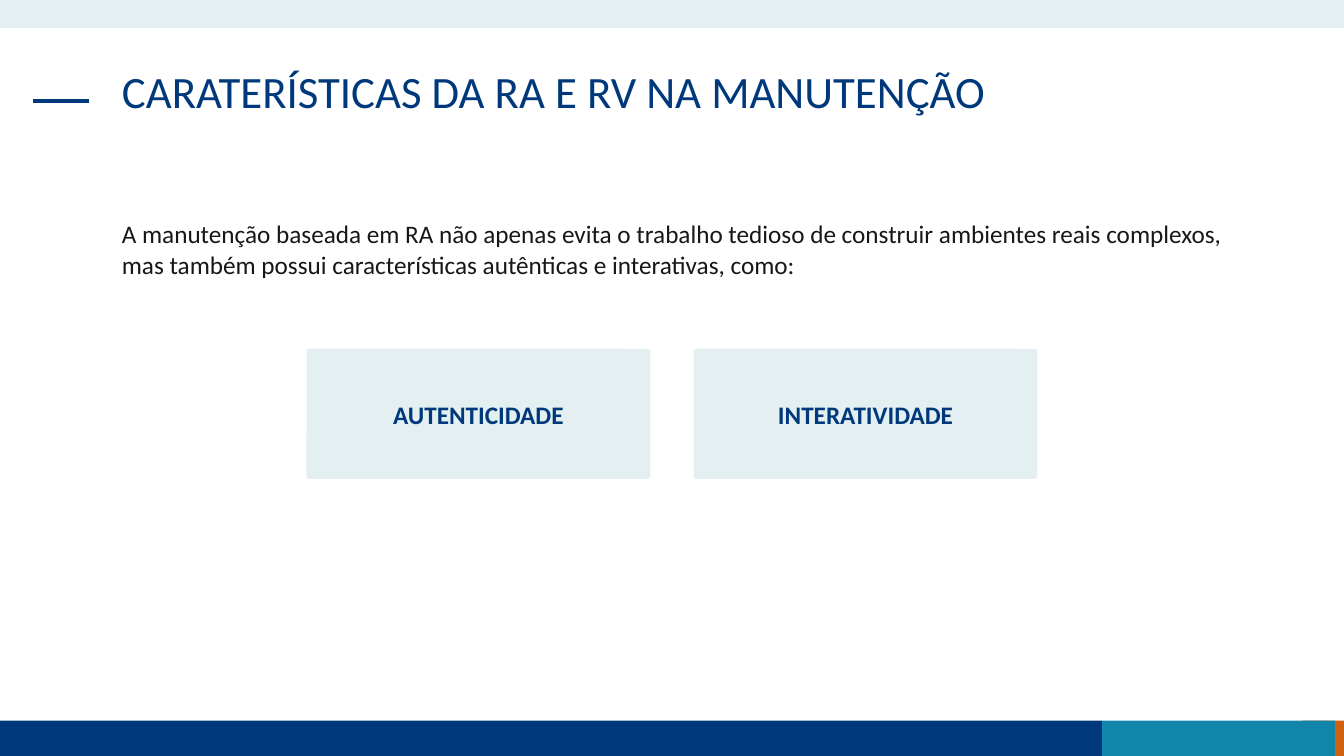
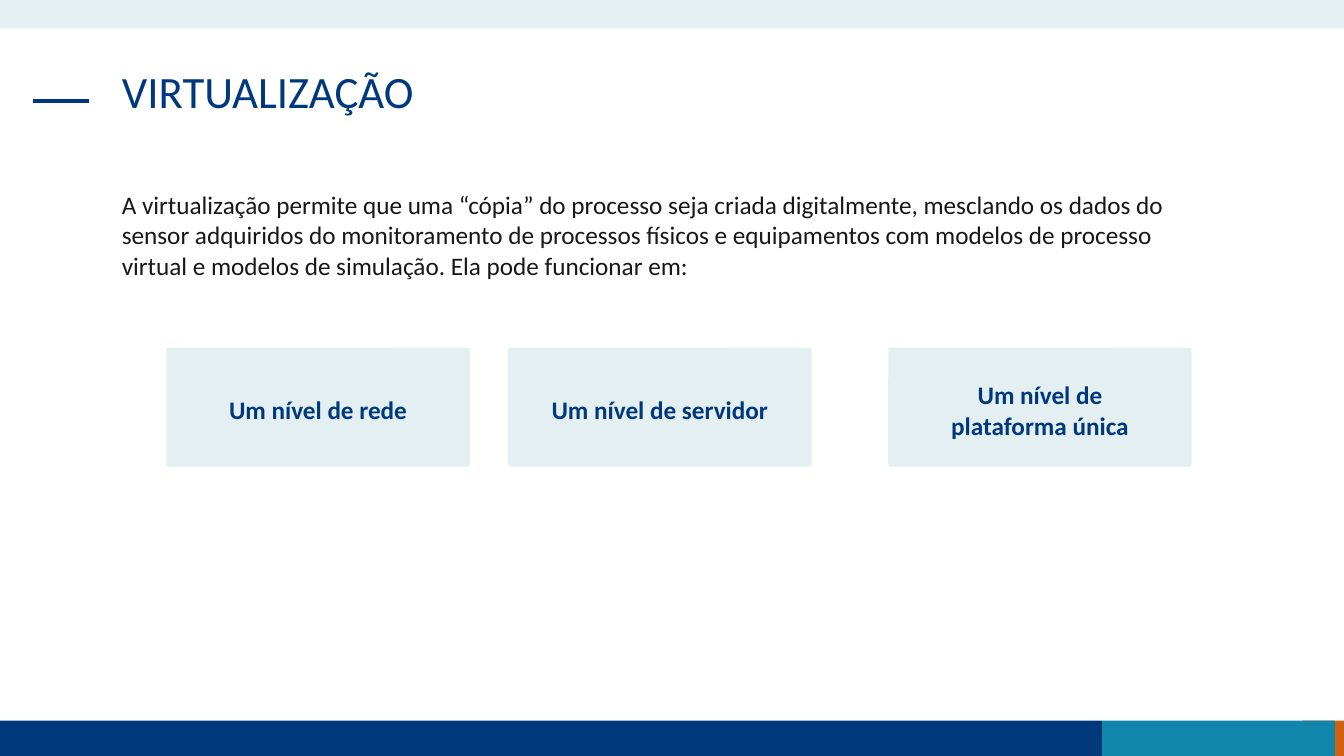
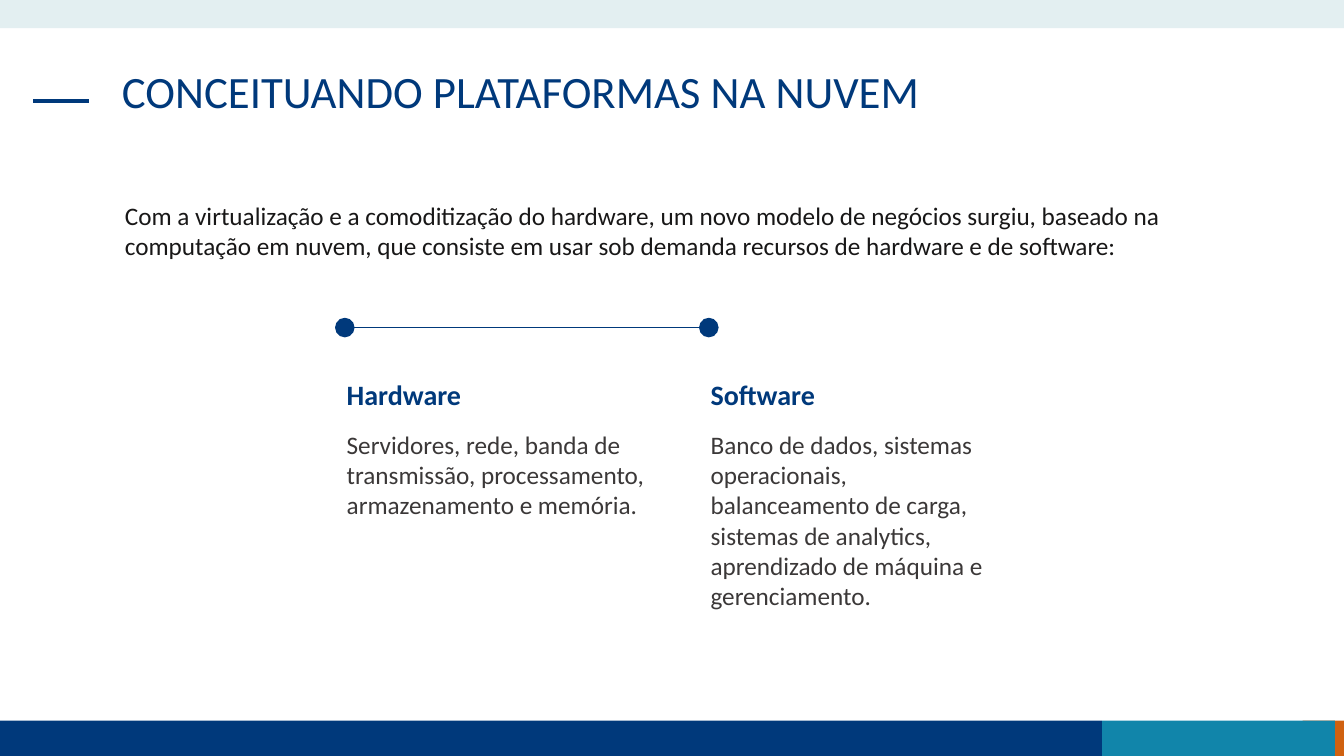
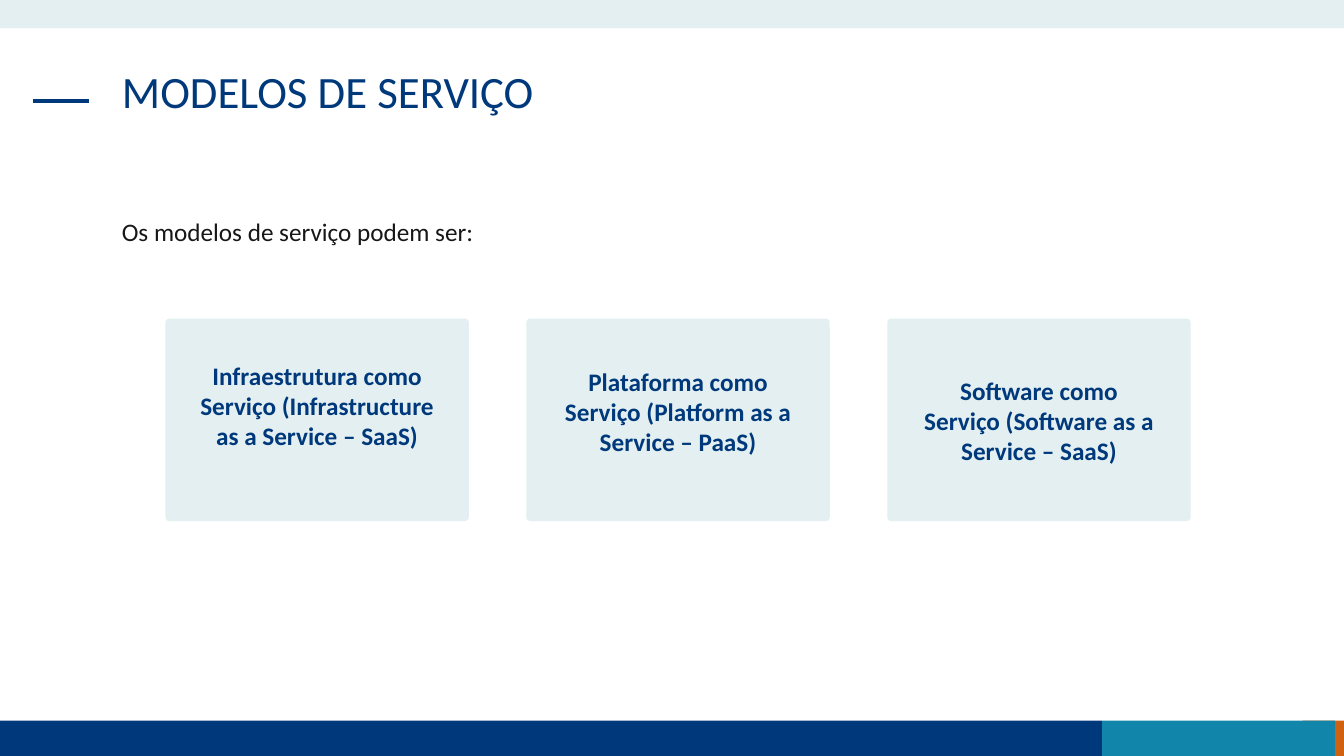
import pptx
import pptx.util
import pptx.dml.color
import pptx.enum.shapes
import pptx.enum.text
import pptx.oxml.ns
import lxml.etree

Inches = pptx.util.Inches
Pt = pptx.util.Pt
SHAPE = pptx.enum.shapes.MSO_SHAPE
ALIGN = pptx.enum.text.PP_ALIGN

FONT = "Calibri"
COLORS = {
    "navy": "00397B",
    "teal": "1185AA",
    "orange": "D06110",
    "pale": "E3EFF1",
    "ink": "181717",
    "gray": "3B3838",
}


def color(name):
    return pptx.dml.color.RGBColor.from_string(COLORS[name])


def write(frame, text, size, tone, bold=False, align=ALIGN.LEFT):
    """Fill a text frame with one top-anchored paragraph."""
    frame.word_wrap = True
    frame.auto_size = pptx.enum.text.MSO_AUTO_SIZE.NONE
    frame.vertical_anchor = pptx.enum.text.MSO_ANCHOR.TOP
    frame.text = text
    par = frame.paragraphs[0]
    par.alignment = align
    par.font.name = FONT
    par.font.size = Pt(size)
    par.font.bold = bold
    par.font.color.rgb = color(tone)
    return par


def label(slide, box, text, size=18, tone="ink", bold=False):
    area = slide.shapes.add_textbox(*map(Inches, box))
    write(area.text_frame, text, size, tone, bold)


def block(slide, kind, box, tone):
    shape = slide.shapes.add_shape(kind, *map(Inches, box))
    shape.shadow.inherit = False
    shape.fill.solid()
    shape.fill.fore_color.rgb = color(tone)
    shape.line.fill.background()
    return shape


def rule(slide, left, right, top, width):
    """Draw a level navy line."""
    line = slide.shapes.add_connector(
        pptx.enum.shapes.MSO_CONNECTOR.STRAIGHT,
        Inches(left), Inches(top), Inches(right), Inches(top))
    line.line.color.rgb = color("navy")
    line.line.width = Pt(width)
    lxml.etree.SubElement(line.element.spPr, pptx.oxml.ns.qn("a:effectLst"))
    return line


def frame(slide):
    """Draw the bands and title dash, then move them to the shared layout."""
    bands = [
        ((12.92, 7.15, 0.41, 0.35), "orange"),
        ((0, 7.15, 10.93, 0.35), "navy"),
        ((10.93, 7.15, 2.31, 0.35), "teal"),
        ((0, 0, 13.33, 0.28), "pale"),
    ]
    parts = [block(slide, SHAPE.RECTANGLE, box, tone) for box, tone in bands]
    parts.append(rule(slide, 0.33, 0.88, 1, 3))
    tree = slide.slide_layout.shapes.element
    for index, part in enumerate(parts, 20):
        part.element.xpath(".//p:cNvPr")[0].set("id", str(index))
        tree.append(part.element)


def start(deck, title, intro, box):
    """Add a slide with its title and opening text."""
    slide = deck.slides.add_slide(deck.slide_layouts[5])
    head = slide.shapes.title
    head.left, head.top, head.width, head.height = map(
        Inches, (1.11, 0.64, 11.1, 0.94))
    write(head.text_frame, title, 32, "navy").line_spacing = 0.9
    label(slide, box, intro)
    return slide


def card(slide, box, text, drop):
    """Draw a rounded card whose text starts at drop below its top."""
    shape = block(slide, SHAPE.ROUNDED_RECTANGLE, box, "pale")
    shape.adjustments[0] = 0.02
    body = shape.text_frame
    write(body, text, 18, "navy", True, ALIGN.CENTER)
    body.margin_left = body.margin_right = Inches(0.31)
    body.margin_top = Inches(drop)


def cards(slide, top, size, items):
    """Place cards of one size; items hold left, text and drop."""
    for left, text, drop in items:
        card(slide, (left, top, *size), text, drop)


def columns(slide, left, top, items):
    """Place headed columns under a line of dots."""
    pitch, dot = 3.61, 0.18
    rule(slide, left + dot / 2, left + pitch * (len(items) - 1),
         top + dot / 2, 0.5)
    for index, (head, text, width, height) in enumerate(items):
        spot = left + index * pitch
        ball = block(slide, SHAPE.OVAL, (spot, top, dot, dot), "navy")
        ball.line.color.rgb = color("navy")
        ball.line.width = Pt(1)
        label(slide, (spot + 0.01, top + 0.54, 3.06, 0.44),
              head, 20, "navy", True)
        label(slide, (spot + 0.01, top + 1.05, width, height),
              text, tone="gray")


def main():
    deck = pptx.Presentation()
    deck.slide_width, deck.slide_height = Inches(13.33), Inches(7.5)

    # Features
    slide = start(
        deck, "CARATERÍSTICAS DA RA E RV NA MANUTENÇÃO",
        "A manutenção baseada em RA não apenas evita o trabalho tedioso de "
        "construir ambientes reais complexos, mas também possui "
        "características autênticas e interativas, como:",
        (1.11, 2.12, 11.25, 0.71))
    frame(slide)
    cards(slide, 3.46, (3.41, 1.29), [
        (3.04, "AUTENTICIDADE", 0.49),
        (6.88, "INTERATIVIDADE", 0.49),
    ])

    # Virtualization
    slide = start(
        deck, "VIRTUALIZAÇÃO",
        "A virtualização permite que uma “cópia” do processo seja criada "
        "digitalmente, mesclando os dados do sensor adquiridos do "
        "monitoramento de processos físicos e equipamentos com modelos de "
        "processo virtual e modelos de simulação. Ela pode funcionar em:",
        (1.11, 1.83, 11.1, 1.01))
    cards(slide, 3.45, (3.01, 1.18), [
        (1.65, "Um nível de rede", 0.46),
        (5.04, "Um nível de servidor", 0.46),
        (8.81, "Um nível de plataforma única", 0.31),
    ])

    # Cloud platforms
    slide = start(
        deck, "CONCEITUANDO PLATAFORMAS NA NUVEM",
        "Com a virtualização e a comoditização do hardware, um novo modelo "
        "de negócios surgiu, baseado na computação em nuvem, que consiste em "
        "usar sob demanda recursos de hardware e de software:",
        (1.14, 1.94, 11.62, 0.71))
    columns(slide, 3.33, 3.16, [
        ("Hardware", "Servidores, rede, banda de transmissão, processamento, "
         "armazenamento e memória.", 3.18, 1.01),
        ("Software", "Banco de dados, sistemas operacionais, balanceamento "
         "de carga, sistemas de analytics, aprendizado de máquina e "
         "gerenciamento.", 3.06, 1.92),
    ])

    # Service models
    slide = start(deck, "MODELOS DE SERVIÇO",
                  "Os modelos de serviço podem ser:", (1.11, 2.1, 11.62, 0.4))
    models = [
        ("Infraestrutura como Serviço (Infrastructure as a Service – SaaS)",
         0.4),
        ("Plataforma como Serviço (Platform as a Service – PaaS)", 0.46),
        ("Software como Serviço (Software as a Service – SaaS)", 0.55),
    ]
    cards(slide, 3.16, (3.01, 2.01), [
        (1.64 + 3.58 * index, text, drop)
        for index, (text, drop) in enumerate(models)])

    deck.save("out.pptx")


if __name__ == "__main__":
    main()
